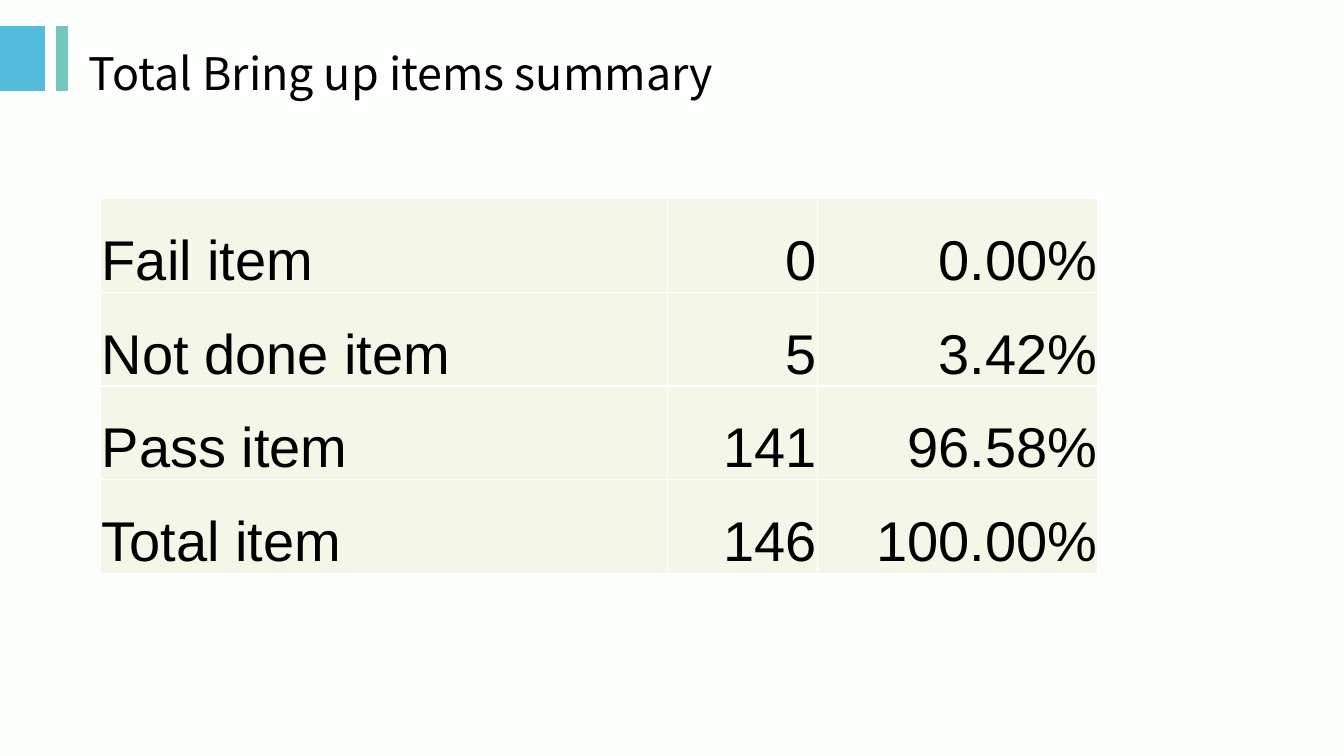
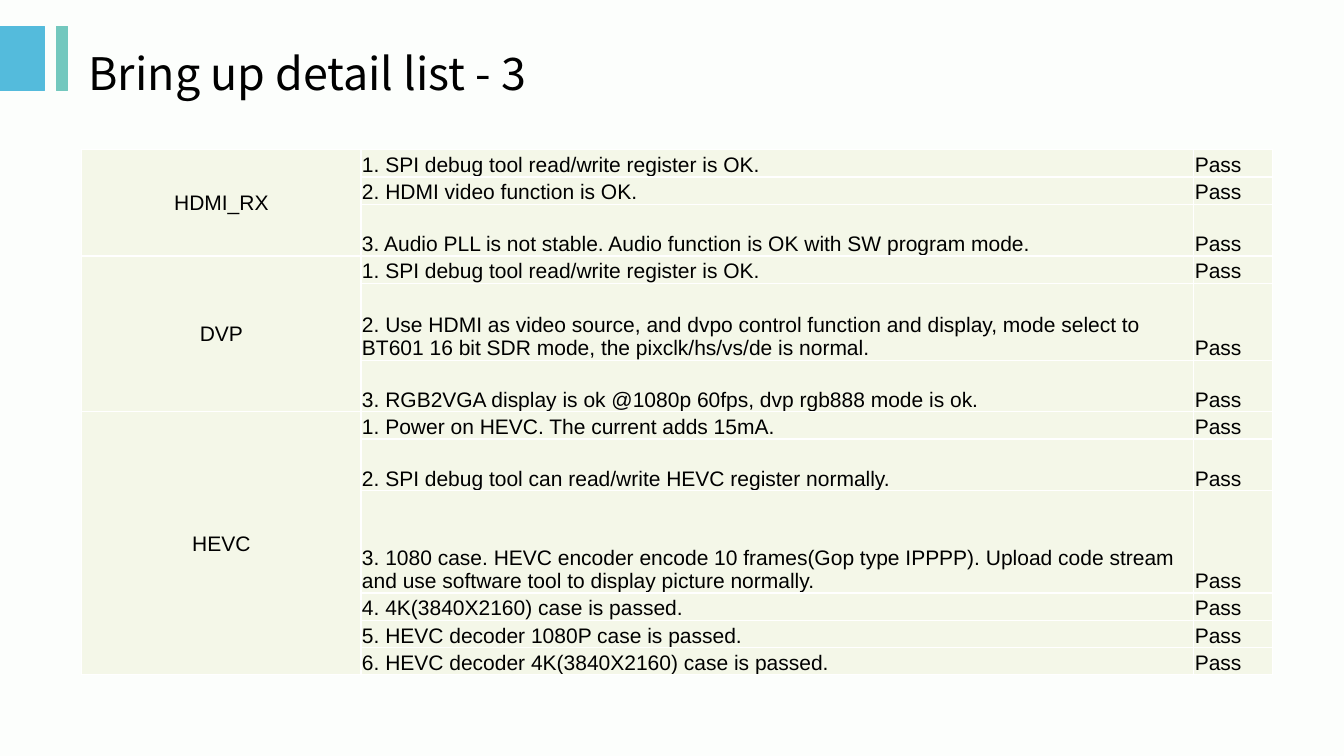
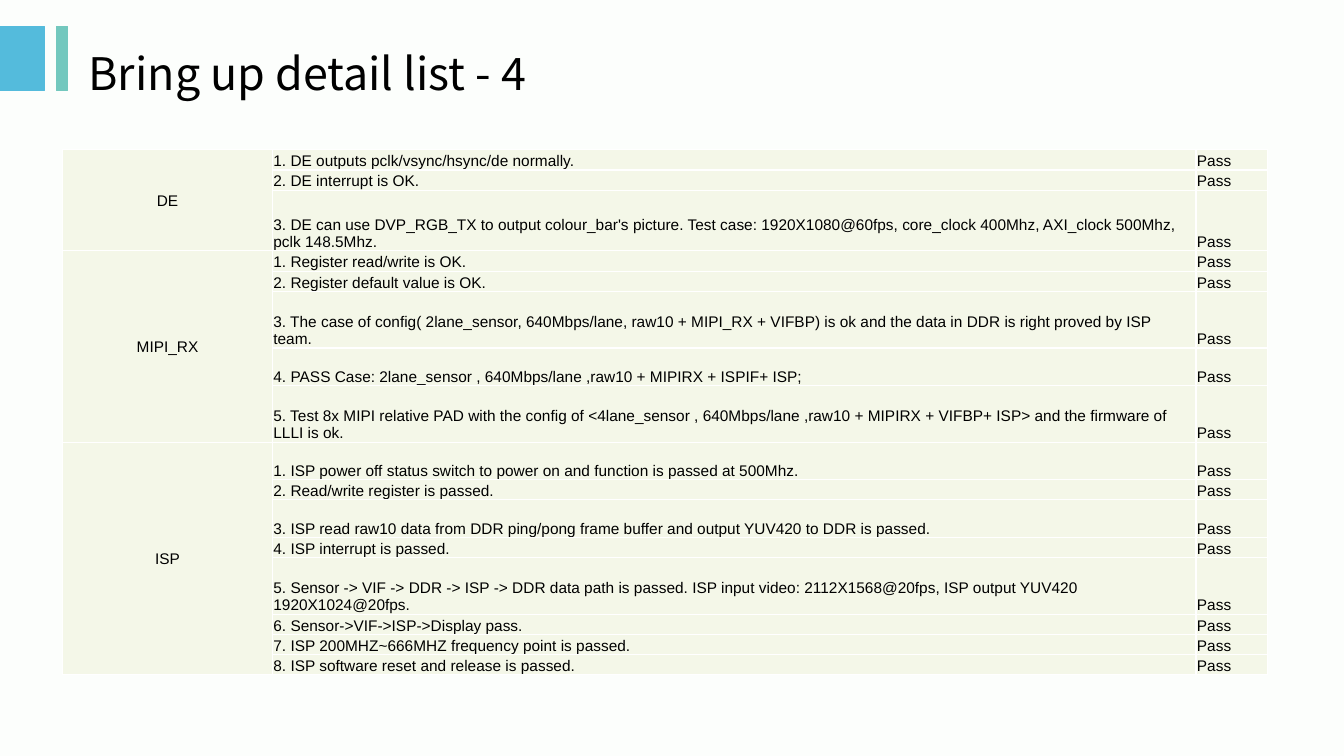
"""Build three bring-up report slides: a summary table and two detail lists."""
from pptx import Presentation
from pptx.dml.color import RGBColor
from pptx.enum import shapes, text
from pptx import util as u

PAPER = RGBColor(0xFC, 0xFE, 0xFC)
BLUE = RGBColor(0x54, 0xBB, 0xDC)
TEAL = RGBColor(0x73, 0xC8, 0xBE)
CELL = RGBColor(0xF4, 0xF7, 0xE8)
INK = RGBColor(0x00, 0x00, 0x00)
TITLE_FONT, TABLE_FONT = "Noto Sans CJK SC", "Arial"
LEFT, CENTER, RIGHT = text.PP_ALIGN.LEFT, text.PP_ALIGN.CENTER, text.PP_ALIGN.RIGHT
BOTTOM, MIDDLE = text.MSO_ANCHOR.BOTTOM, text.MSO_ANCHOR.MIDDLE
W, H = u.Inches(13.33), u.Inches(7.5)
BAND_TOP, BAND_HEIGHT = 3.47, 8.53
BANDS = [(0, 3.3, BLUE), (4.2, 0.83, TEAL)]

SUMMARY = [
    ("Fail item", [(1, "0", "0.00%")]),
    ("Not done item", [(1, "5", "3.42%")]),
    ("Pass item", [(1, "141", "96.58%")]),
    ("Total item", [(1, "146", "100.00%")]),
]
DETAIL_3 = [
    ("HDMI_RX", [
        (0.27, "1. SPI debug tool read/write register is OK.", "Pass"),
        (0.27, "2. HDMI video function is OK.", "Pass"),
        (0.51, "3. Audio PLL is not stable. Audio function is OK with SW program mode.", "Pass"),
    ]),
    ("DVP", [
        (0.27, "1. SPI debug tool read/write register is OK.", "Pass"),
        (0.76, "2. Use HDMI as video source, and dvpo control function and display, mode select to "
               "BT601 16 bit SDR mode, the pixclk/hs/vs/de is normal.", "Pass"),
        (0.51, "3. RGB2VGA display is ok @1080p 60fps, dvp rgb888 mode is ok.", "Pass"),
    ]),
    ("HEVC", [
        (0.27, "1. Power on HEVC. The current adds 15mA.", "Pass"),
        (0.51, "2. SPI debug tool can read/write HEVC register normally.", "Pass"),
        (1.01, "3. 1080 case. HEVC encoder encode 10 frames(Gop type IPPPP). Upload code stream "
               "and use software tool to display picture normally.", "Pass"),
        (0.27, "4. 4K(3840X2160) case is passed.", "Pass"),
        (0.27, "5. HEVC decoder 1080P case is passed.", "Pass"),
        (0.27, "6. HEVC decoder 4K(3840X2160) case is passed.", "Pass"),
    ]),
]
DETAIL_4 = [
    ("DE", [
        (0.2, "1. DE outputs pclk/vsync/hsync/de normally.", "Pass"),
        (0.2, "2. DE interrupt is OK.", "Pass"),
        (0.6, "3. DE can use DVP_RGB_TX to output colour_bar's picture. Test case: 1920X1080@60fps, "
              "core_clock 400Mhz, AXI_clock 500Mhz, pclk 148.5Mhz.", "Pass"),
    ]),
    ("MIPI_RX", [
        (0.2, "1. Register read/write is OK.", "Pass"),
        (0.2, "2. Register default value is OK.", "Pass"),
        (0.56, "3. The case of config( 2lane_sensor, 640Mbps/lane, raw10 + MIPI_RX + VIFBP) is ok "
               "and the data in DDR is right proved by ISP team.", "Pass"),
        (0.37, "4. PASS Case: 2lane_sensor , 640Mbps/lane ,raw10 + MIPIRX + ISPIF+ ISP;", "Pass"),
        (0.56, "5. Test 8x MIPI relative PAD with the config of <4lane_sensor , 640Mbps/lane ,raw10 "
               "+ MIPIRX + VIFBP+ ISP> and the firmware of LLLI is ok.", "Pass"),
    ]),
    ("ISP", [
        (0.37, "1. ISP power off status switch to power on and function is passed at 500Mhz.", "Pass"),
        (0.2, "2. Read/write register is passed.", "Pass"),
        (0.37, "3. ISP read raw10 data from DDR ping/pong frame buffer and output YUV420 to DDR "
               "is passed.", "Pass"),
        (0.2, "4. ISP interrupt is passed.", "Pass"),
        (0.56, "5. Sensor -> VIF -> DDR -> ISP -> DDR data path is passed. ISP input video: "
               "2112X1568@20fps, ISP output YUV420 1920X1024@20fps.", "Pass"),
        (0.2, "6. Sensor->VIF->ISP->Display pass.", "Pass"),
        (0.2, "7. ISP 200MHZ~666MHZ frequency point is passed.", "Pass"),
        (0.2, "8. ISP software reset and release is passed.", "Pass"),
    ]),
]
SUMMARY_STYLE = [(LEFT, BOTTOM), (RIGHT, BOTTOM), (RIGHT, BOTTOM)]
DETAIL_STYLE = [(CENTER, MIDDLE), (LEFT, BOTTOM), (LEFT, BOTTOM)]
SLIDES = [
    ("Total Bring up items summary", SUMMARY, SUMMARY_STYLE, 40,
     (7.5, 26.27, 49.6), (42.16, 11.18, 20.86)),
    ("Bring up detail list - 3", DETAIL_3, DETAIL_STYLE, 15,
     (6.08, 19.8, 69.5), (20.78, 61.97, 5.85)),
    ("Bring up detail list - 4", DETAIL_4, DETAIL_STYLE, 11,
     (4.67, 19.8, 69.5), (15.6, 68.72, 5.33)),
]


def area(left, top, width, height):
    """Turn percentages of the slide into lengths."""
    return [int(size * share / 100) for size, share in zip((W, H, W, H), (left, top, width, height))]


def write(p, words, font, size, align):
    """Fill one paragraph."""
    p.text, p.alignment = words, align
    p.font.name, p.font.size, p.font.color.rgb = font, u.Pt(size), INK


prs = Presentation()
prs.slide_width, prs.slide_height = W, H
fill = prs.slide_master.background.fill
fill.solid()
fill.fore_color.rgb = PAPER

for title, groups, styles, size, (left, top, height), widths in SLIDES:
    s = prs.slides.add_slide(prs.slide_layouts[6])
    for band_left, band_width, color in BANDS:
        sp = s.shapes.add_shape(shapes.MSO_SHAPE.RECTANGLE,
                                *area(band_left, BAND_TOP, band_width, BAND_HEIGHT))
        sp.shadow.inherit = False
        sp.fill.solid()
        sp.fill.fore_color.rgb = sp.line.color.rgb = color
        sp.line.width = u.Pt(0.75)

    tf = s.shapes.add_textbox(*area(5.85, BAND_TOP, 89.1, 12.27)).text_frame
    tf.word_wrap, tf.vertical_anchor = True, MIDDLE
    write(tf.paragraphs[0], title, TITLE_FONT, 32, LEFT)

    rows = [(weight, (name if i == 0 else "", *cells))
            for name, items in groups for i, (weight, *cells) in enumerate(items)]
    box = area(left, top, sum(widths), height)
    table = s.shapes.add_table(len(rows), len(widths), *box).table
    table.first_row = table.horz_banding = False
    for column, width in zip(table.columns, widths):
        column.width = int(W * width / 100)
    total = sum(weight for weight, _ in rows)
    for r, (weight, words) in enumerate(rows):
        table.rows[r].height = int(box[3] * weight / total)
        for c, (align, anchor) in enumerate(styles):
            cell = table.cell(r, c)
            cell.fill.solid()
            cell.fill.fore_color.rgb = CELL
            cell.margin_left = cell.margin_right = cell.margin_top = u.Inches(0.01)
            cell.margin_bottom = 0
            cell.vertical_anchor = anchor
            write(cell.text_frame.paragraphs[0], words[c], TABLE_FONT, size, align)

    first = 0
    for name, items in groups:
        last = first + len(items) - 1
        if last > first:
            table.cell(first, 0).merge(table.cell(last, 0))
        first = last + 1

prs.save("out.pptx")
